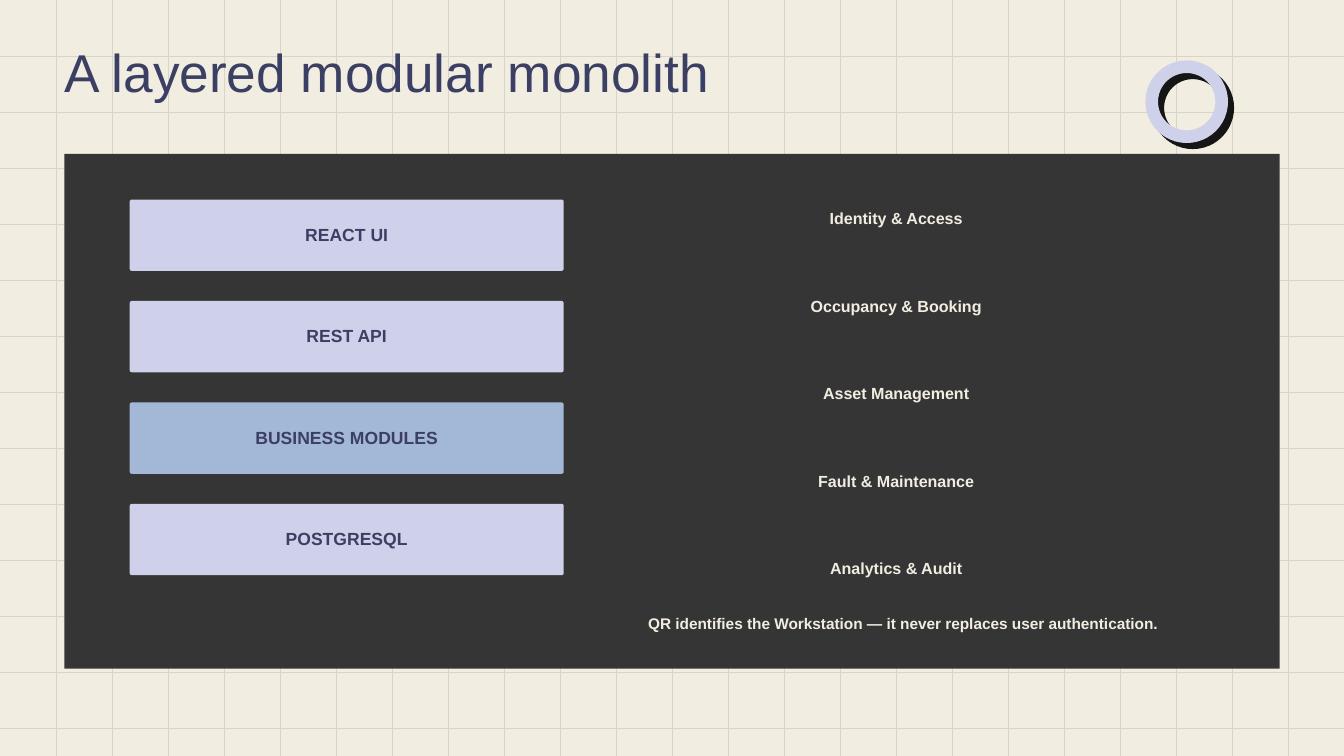
from dataclasses import dataclass

from lxml.etree import SubElement
from pptx import Presentation
from pptx.dml.color import RGBColor
from pptx.enum.shapes import MSO_CONNECTOR, MSO_SHAPE
from pptx.enum.text import MSO_ANCHOR, MSO_AUTO_SIZE, PP_ALIGN
from pptx.oxml.ns import qn
from pptx.shapes.autoshape import Shape
from pptx.slide import Slide
from pptx.util import Pt

WIDTH, HEIGHT, GRID_STEP = 1440, 810, 60
CREAM, NAVY, CHARCOAL, LAVENDER = "F1EDE1", "3B3F63", "353535", "CFD0EA"
BLUE, BLACK, GRID_GREY = "A3B7D7", "151515", "D9D4C8"
FONT = "Arial"


@dataclass(frozen=True)
class Box:
    left: float
    top: float
    width: float
    height: float


@dataclass(frozen=True)
class Stack:
    first: Box
    step: float
    radius: float
    size: float
    leading: float
    color: str


@dataclass(frozen=True)
class Entry:
    label: str
    fill: str


LAYER_STACK = Stack(Box(139, 213.8, 465, 76.4), 108.7, 2.2, 18.8, 20.6, NAVY)
MODULE_STACK = Stack(Box(697.6, 202.3, 525, 64.6), 93.8, 1.8, 17.2, 19, CREAM)
LAYERS = [
    Entry("REACT UI", LAVENDER),
    Entry("REST API", LAVENDER),
    Entry("BUSINESS MODULES", BLUE),
    Entry("POSTGRESQL", LAVENDER),
]
MODULES = [
    Entry(label, CHARCOAL)
    for label in (
        "Identity & Access",
        "Occupancy & Booking",
        "Asset Management",
        "Fault & Maintenance",
        "Analytics & Audit",
    )
]


def rgb(color: str) -> RGBColor:
    return RGBColor.from_string(color)


def write(shape: Shape, text: str, *, size: float, leading: float, color: str,
          bold: bool = False, align: PP_ALIGN = PP_ALIGN.LEFT,
          anchor: MSO_ANCHOR = MSO_ANCHOR.TOP, inset: float = 0) -> None:
    frame = shape.text_frame
    frame.word_wrap = True
    frame.vertical_anchor = anchor
    frame.margin_left = frame.margin_right = Pt(inset)
    frame.margin_top = frame.margin_bottom = Pt(inset)
    paragraph = frame.paragraphs[0]
    paragraph.alignment = align
    paragraph.line_spacing = Pt(leading)
    run = paragraph.add_run()
    run.text = text
    run.font.name = FONT
    run.font.size = Pt(size)
    run.font.bold = bold
    run.font.color.rgb = rgb(color)


def draw_grid_line(slide: Slide, x1: float, y1: float, x2: float, y2: float) -> None:
    grid_line = slide.shapes.add_connector(
        MSO_CONNECTOR.STRAIGHT, Pt(x1), Pt(y1), Pt(x2), Pt(y2))
    grid_line.line.color.rgb = rgb(GRID_GREY)
    grid_line.line.width = Pt(0.75)
    SubElement(grid_line._element.spPr, qn("a:effectLst"))


def draw_shape(slide: Slide, kind: MSO_SHAPE, box: Box) -> Shape:
    shape = slide.shapes.add_shape(
        kind, Pt(box.left), Pt(box.top), Pt(box.width), Pt(box.height))
    shape.shadow.inherit = False
    return shape


def draw_block(slide: Slide, kind: MSO_SHAPE, box: Box, fill: str) -> Shape:
    block = draw_shape(slide, kind, box)
    block.fill.solid()
    block.fill.fore_color.rgb = rgb(fill)
    block.line.fill.background()
    return block


def draw_stack(slide: Slide, stack: Stack, entries: list[Entry]) -> None:
    first = stack.first
    for index, entry in enumerate(entries):
        box = Box(first.left, first.top + index * stack.step, first.width, first.height)
        block = draw_block(slide, MSO_SHAPE.ROUNDED_RECTANGLE, box, entry.fill)
        block.adjustments[0] = stack.radius / box.height
        write(block, entry.label, size=stack.size, leading=stack.leading,
              color=stack.color, bold=True, align=PP_ALIGN.CENTER,
              anchor=MSO_ANCHOR.MIDDLE, inset=4.5)


def draw_ring(slide: Slide, left: float, top: float, color: str) -> None:
    ring = draw_shape(slide, MSO_SHAPE.OVAL, Box(left, top, 75, 75))
    ring.fill.background()
    ring.line.color.rgb = rgb(color)
    ring.line.width = Pt(13.5)


def add_text(slide: Slide, box: Box, text: str, **text_format) -> None:
    caption = slide.shapes.add_textbox(
        Pt(box.left), Pt(box.top), Pt(box.width), Pt(box.height))
    write(caption, text, **text_format)
    caption.text_frame.auto_size = MSO_AUTO_SIZE.SHAPE_TO_FIT_TEXT


def main() -> None:
    deck = Presentation()
    deck.slide_width, deck.slide_height = Pt(WIDTH), Pt(HEIGHT)
    slide = deck.slides.add_slide(deck.slide_layouts[6])
    slide.background.fill.solid()
    slide.background.fill.fore_color.rgb = rgb(CREAM)

    for x in range(GRID_STEP, WIDTH, GRID_STEP):
        draw_grid_line(slide, x, 0, x, HEIGHT)
    for y in range(GRID_STEP, HEIGHT, GRID_STEP):
        draw_grid_line(slide, 0, y, WIDTH, y)

    add_text(slide, Box(69, 54, 1163, 61), "A layered modular monolith",
             size=57, leading=57, color=NAVY)
    draw_block(slide, MSO_SHAPE.RECTANGLE, Box(69, 165, 1302, 551.5), CHARCOAL)
    draw_stack(slide, LAYER_STACK, LAYERS)
    draw_stack(slide, MODULE_STACK, MODULES)
    draw_ring(slide, 1240.5, 78, BLACK)
    draw_ring(slide, 1234, 71.5, LAVENDER)
    add_text(slide, Box(682.5, 654.5, 570, 24.5),
             "QR identifies the Workstation — it never replaces user authentication.",
             size=16.5, leading=23.1, color=CREAM, bold=True, align=PP_ALIGN.CENTER)

    deck.save("out.pptx")


if __name__ == "__main__":
    main()
